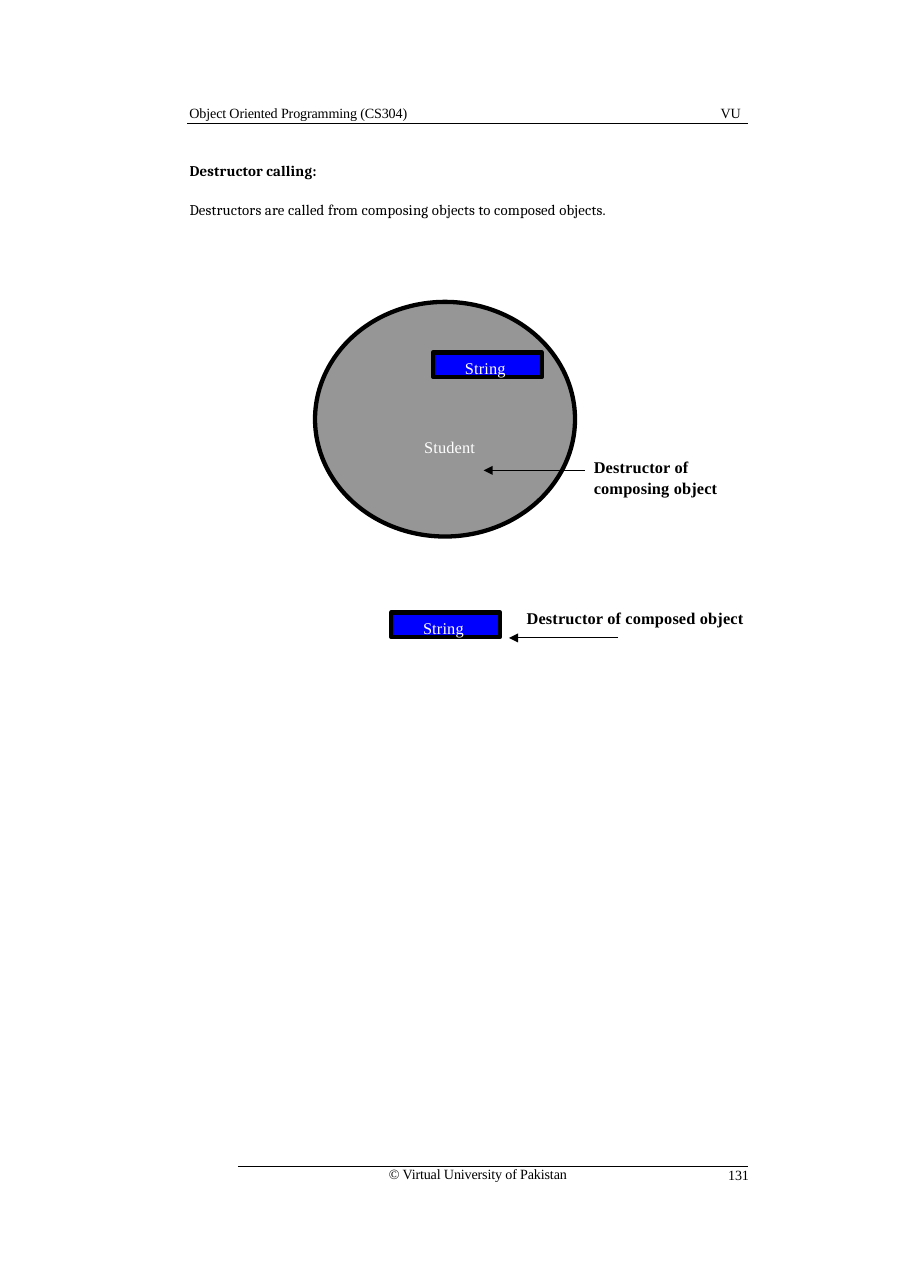
from lxml import etree
from pptx import Presentation
from pptx.dml.color import RGBColor
from pptx.enum.shapes import MSO_CONNECTOR as CONN, MSO_SHAPE as SHAPE
from pptx.enum.text import MSO_ANCHOR as ANCHOR, PP_ALIGN as ALIGN
from pptx.oxml.ns import qn
from pptx.util import Inches, Pt

COLORS = {"ink": "000000", "light": "FFFFFF", "object": "969696", "member": "0000FF"}
SERIF, BODY = "Times New Roman", "Cambria"
MARGIN_SIZE, BODY_SIZE, LABEL_SIZE = 9.2, 9.7, 10.7


def rgb(name):
    return RGBColor.from_string(COLORS[name])


def set_text(p, text, size, font=SERIF, color="ink", bold=False, spacing=0.1):
    """Fill a paragraph; spacing is the tracking in points."""
    r = p.add_run()
    r.text = text
    r._r.get_or_add_rPr().set("spc", str(round(spacing * 100)))
    f = p.font
    f.name, f.size, f.bold = font, Pt(size), bold
    f.color.rgb = rgb(color)


def add_text(s, x, y, w, h, text, size, wrap=False, **style):
    tf = s.shapes.add_textbox(Inches(x), Inches(y), Inches(w), Inches(h)).text_frame
    tf.margin_left = tf.margin_top = tf.margin_right = tf.margin_bottom = 0
    tf.word_wrap = wrap
    set_text(tf.paragraphs[0], text, size, **style)
    return tf


def add_line(s, x1, y1, x2, y2, arrow=False):
    line = s.shapes.add_connector(CONN.STRAIGHT, Inches(x1), Inches(y1), Inches(x2), Inches(y2))
    line.line.color.rgb = rgb("ink")
    line.line.width = Pt(0.66)
    if arrow:
        etree.SubElement(line.line._get_or_add_ln(), qn("a:tailEnd"), type="triangle")
    etree.SubElement(line._element.spPr, qn("a:effectLst"))


def add_outlined(s, kind, x, y, w, h, fill):
    sp = s.shapes.add_shape(kind, Inches(x), Inches(y), Inches(w), Inches(h))
    sp.shadow.inherit = False
    sp.fill.solid()
    sp.fill.fore_color.rgb = rgb(fill)
    sp.line.color.rgb = rgb("ink")
    sp.line.width = Pt(2.82)
    return sp


def string_member(s, x, y):
    sp = add_outlined(s, SHAPE.RECTANGLE, x, y, 0.99, 0.22, "member")
    tf = sp.text_frame
    tf.margin_left = tf.margin_bottom = 0
    tf.margin_top, tf.margin_right = Inches(0.05), Inches(0.04)
    tf.vertical_anchor = ANCHOR.TOP
    tf.word_wrap = False
    p = tf.paragraphs[0]
    p.alignment = ALIGN.CENTER
    set_text(p, "String", LABEL_SIZE, color="light")


def page_header(s, x, y, w):
    style = dict(size=MARGIN_SIZE, spacing=-0.1)
    add_text(s, x + 0.02, y, 2.03, 0.16, "Object Oriented Programming (CS304)", **style)
    add_text(s, x + w - 0.25, y, 0.21, 0.16, "VU", **style)
    add_line(s, x, y + 0.17, x + w, y + 0.17)


def page_footer(s, x, y, w):
    style = dict(size=MARGIN_SIZE, spacing=-0.1)
    add_line(s, x, y, x + w, y)
    add_text(s, x + 1.37, y - 0.01, 1.68, 0.16, "© Virtual University of Pakistan", **style)
    add_text(s, x + w - 0.18, y, 0.22, 0.16, "131", **style)


def introduction(s, x, y, w, h):
    tf = add_text(s, x, y, w, h, "Destructor calling:", BODY_SIZE, wrap=True,
                  font=BODY, bold=True)
    p = tf.add_paragraph()
    p.space_before = Pt(13.6)
    set_text(p, "Destructors are called from composing objects to composed objects.",
             BODY_SIZE, font=BODY)


def composing_object(s, x, y, w, h):
    """Student ellipse holding a String, with its destructor label."""
    add_outlined(s, SHAPE.OVAL, x, y, w, h, "object")
    string_member(s, x + 1.07, y + 0.46)
    add_text(s, x + 0.99, y + 1.23, 0.5, 0.18, "Student", LABEL_SIZE, color="light")
    add_line(s, x + 2.45, y + 1.53, x + 1.53, y + 1.53, arrow=True)
    tf = add_text(s, x + 2.53, y + 1.4, 1.2, 0.36, "Destructor of composing object",
                  LABEL_SIZE, wrap=True, bold=True)
    tf.paragraphs[0].line_spacing = 1.06


def composed_object(s, x, y):
    """Stand-alone String with its destructor label."""
    string_member(s, x, y)
    add_text(s, x + 1.23, y - 0.04, 2.01, 0.18, "Destructor of composed object",
             LABEL_SIZE, bold=True)
    add_line(s, x + 2.06, y + 0.23, x + 1.07, y + 0.23, arrow=True)


def main():
    prs = Presentation()
    prs.slide_width, prs.slide_height = Inches(8.26), Inches(11.69)
    s = prs.slides.add_slide(prs.slide_layouts[6])
    page_header(s, 1.7, 0.95, 5.09)
    introduction(s, 1.72, 1.47, 4.19, 0.52)
    composing_object(s, 2.86, 2.74, 2.36, 2.13)
    composed_object(s, 3.55, 5.56)
    page_footer(s, 2.16, 10.59, 4.63)
    prs.save("out.pptx")


if __name__ == "__main__":
    main()
